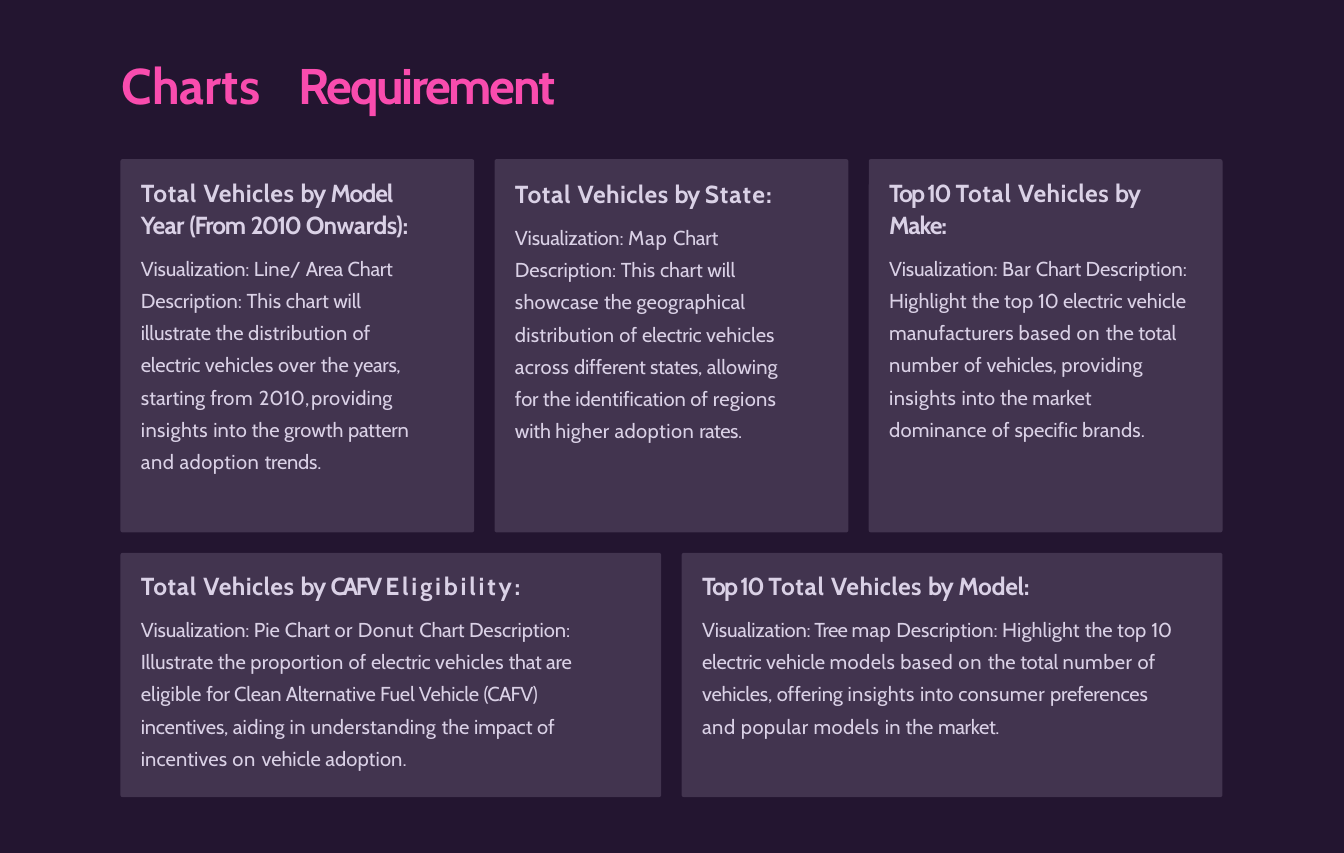
from dataclasses import dataclass

from lxml import etree
from pptx import Presentation
from pptx.dml.color import RGBColor
from pptx.enum import shapes, text
from pptx.oxml import ns
from pptx.util import Inches, Pt

Spans = list[tuple[str, float]]  # wording and its letter spacing in points


@dataclass(frozen=True)
class Theme:
    font: str = "Cabin"
    backdrop: str = "231530"
    panel: str = "42344F"
    accent: str = "F94CAE"
    ink: str = "DAD1E6"
    title_size: float = 33.5
    heading_size: float = 16.5
    body_size: float = 13.5


@dataclass(frozen=True)
class Card:
    heading: Spans
    body: Spans
    text_width: float
    two_line: bool = False


@dataclass(frozen=True)
class Row:
    top: float
    height: float
    text_top: float
    body_gap: float
    body_leading: float
    cards: list[Card]


THEME = Theme()
LEFT, TOTAL_WIDTH, GAP = 1.12, 10.25, 0.19
TEXT_INDENT, CORNER = 0.18, 0.02
TOTAL_VEHICLES: Spans = [("Total ", 0.5), ("Vehicles ", 0.3), ("by ", -0.8)]
TOP_TEN: Spans = [("Top 10 ", -1.2)]

# Wording of the five chart requirements
model_year = Card(
    TOTAL_VEHICLES + [("Model ", -0.7), ("Year ", -0.5), ("(From ", -0.8),
                      ("2010 ", -1.2), ("Onwards):", -0.3)],
    [("Visualization: ", -0.1), ("Line/ ", 0.1), ("Area ", -0.2), ("Chart ", -0.1),
     ("Description: ", 0), ("This ", 0.1), ("chart ", 0), ("will illustrate ", -0.1),
     ("the ", 0), ("distribution ", 0.2), ("of ", 0.1), ("electric ", -0.1),
     ("vehicles over ", 0.1), ("the ", 0), ("years, ", -0.2), ("starting ", 0.1),
     ("f", -0.2), ("r", -0.8), ("om ", 0.5), ("2", 0), ("0", -0.3), ("1", -0.4),
     ("0", -0.6), (", ", -1.8), ("p", 0.2), ("r", -0.3), ("o", 0.5), ("viding ", 0.1),
     ("insights ", 0.3), ("into ", 0.1), ("the growth ", 0), ("pattern ", -0.1),
     ("and ", 0.4), ("adoption ", 0.3), ("trends.", -0.1)],
    2.65, two_line=True)
state = Card(
    TOTAL_VEHICLES + [("State:", 0.8)],
    [("Visualization: ", -0.1), ("Map ", 0.6), ("Chart ", -0.1), ("Description: ", 0),
     ("This ", 0.1), ("chart ", 0), ("will ", -0.1), ("showcase ", 0.2), ("the ", 0),
     ("geographical ", 0.1), ("distribution ", 0.2), ("of ", 0.1), ("electric ", -0.1),
     ("vehicles ", 0.1), ("across ", 0.2), ("different ", -0.1), ("states, ", -0.2),
     ("allowing ", 0.1), ("for ", -0.1), ("the identification ", 0), ("of ", 0.1),
     ("regions ", 0.2), ("with ", -0.1), ("higher ", 0.2), ("adoption ", 0.3),
     ("rates.", -0.3)],
    2.65)
make = Card(
    TOP_TEN + TOTAL_VEHICLES + [("Make:", -0.7)],
    [("Visualization: ", -0.1), ("Bar ", 0.2), ("Chart ", -0.1), ("Description: ", 0),
     ("Highlight ", 0.1), ("the ", 0), ("top ", 0.1), ("10 ", -0.4), ("electric ", -0.1),
     ("vehicle ", 0), ("manufacturers ", 0.1), ("based ", 0.3), ("on ", 0.6), ("the ", 0),
     ("total ", -0.1), ("number ", 0.3), ("of ", 0.1), ("vehicles, ", -0.1),
     ("providing ", 0.2), ("insights ", 0.3), ("into ", 0.1), ("the market ", 0),
     ("dominance ", 0.2), ("of ", 0.1), ("specific ", 0), ("brands.", 0.1)],
    2.84, two_line=True)
eligibility = Card(
    TOTAL_VEHICLES + [("CAFV ", -1.7), ("Eligibility:", 1.9)],
    [("Visualization: ", -0.1), ("Pie ", 0.1), ("Chart ", -0.1), ("or Donut ", 0.3),
     ("Chart ", -0.1), ("Description: Illustrate the ", 0), ("proportion ", 0.2),
     ("of ", 0.1), ("electric ", -0.1), ("vehicles ", 0.1), ("that are ", -0.1),
     ("eligible ", 0.1), ("for Clean Alternative Fuel Vehicle ", -0.1),
     ("(CAFV) ", -0.5), ("incentives, ", -0.1), ("aiding in understanding ", 0.2),
     ("the impact ", 0), ("of incentives ", 0.1), ("on ", 0.6), ("vehicle ", 0),
     ("adoption.", 0.1)],
    4.3)
model = Card(
    TOP_TEN + TOTAL_VEHICLES + [("Model:", -0.2)],
    [("Visualization:", -0.1), (" Tree ", -0.5), ("map ", 0.3), ("Description: ", 0),
     ("Highlight ", 0.1), ("the ", 0), ("top ", 0.1), ("10 ", -0.4), ("electric ", -0.1),
     ("vehicle ", 0), ("models based ", 0.3), ("on ", 0.6), ("the ", 0), ("total ", -0.1),
     ("number ", 0.3), ("of ", 0.1), ("vehicles, ", -0.1), ("offering ", 0),
     ("insights ", 0.3), ("into ", 0.1), ("consumer ", 0.2), ("preferences ", -0.1),
     ("and ", 0.4), ("popular models ", 0.3), ("in ", 0.2), ("the ", 0),
     ("market.", -0.2)],
    4.46)

ROWS = [
    Row(1.48, 3.47, 1.64, 6.3, 1.33, [model_year, state, make]),
    Row(5.14, 2.27, 5.29, 5.4, 1.34, [eligibility, model]),
]


def apply(target, values: dict) -> None:
    for attribute, value in values.items():
        setattr(target, attribute, value)


def set_frame(frame, inset_top: float) -> None:
    apply(frame, {
        "margin_left": Inches(0.01), "margin_right": 0, "margin_bottom": 0,
        "margin_top": Inches(inset_top), "word_wrap": True,
        "vertical_anchor": text.MSO_ANCHOR.TOP,
        "auto_size": text.MSO_AUTO_SIZE.SHAPE_TO_FIT_TEXT,
    })


def write(paragraph, spans: Spans, size: float, color: str, bold: bool,
          before: float, leading: float = 1.0) -> None:
    apply(paragraph, {"alignment": text.PP_ALIGN.LEFT, "space_before": Pt(before),
                      "line_spacing": leading})
    for wording, spacing in spans:
        run = paragraph.add_run()
        run.text = wording
        apply(run.font, {"name": THEME.font, "size": Pt(size), "bold": bold})
        run.font.color.rgb = RGBColor.from_string(color)
        run._r.get_or_add_rPr().set("spc", str(round(spacing * 100)))


def draw_title(slide) -> None:
    title = slide.shapes.title
    apply(title, {"left": Inches(LEFT), "top": Inches(0.49),
                  "width": Inches(4.25), "height": Inches(0.59)})
    set_frame(title.text_frame, 0.02)
    line = title.text_frame.paragraphs[0]
    write(line, [("Charts\t", 0.1), ("Requirement", -1.6)],
          THEME.title_size, THEME.accent, True, 1.2)
    # Tab stop between the two words
    stops = etree.SubElement(line._p.get_or_add_pPr(), ns.qn("a:tabLst"))
    etree.SubElement(stops, ns.qn("a:tab"), pos=str(Inches(1.65)), algn="l")


def draw_card(slide, card: Card, row: Row, left: float, width: float) -> None:
    panel = slide.shapes.add_shape(
        shapes.MSO_SHAPE.ROUNDED_RECTANGLE,
        Inches(left), Inches(row.top), Inches(width), Inches(row.height))
    panel.adjustments[0] = CORNER / min(width, row.height)
    panel.shadow.inherit = False
    panel.fill.solid()
    panel.fill.fore_color.rgb = RGBColor.from_string(THEME.panel)
    panel.line.fill.background()

    inner_height = row.height - 2 * (row.text_top - row.top)
    frame = slide.shapes.add_textbox(
        Inches(left + TEXT_INDENT), Inches(row.text_top),
        Inches(card.text_width), Inches(inner_height)).text_frame
    set_frame(frame, 0 if card.two_line else 0.02)
    before, leading = (0.1, 1.06) if card.two_line else (1.4, 1.0)
    write(frame.paragraphs[0], card.heading, THEME.heading_size, THEME.ink, True,
          before, leading)
    write(frame.add_paragraph(), card.body, THEME.body_size, THEME.ink, False,
          row.body_gap, row.body_leading)


def main() -> None:
    deck = Presentation()
    apply(deck, {"slide_width": Inches(12.5), "slide_height": Inches(7.93)})
    slide = deck.slides.add_slide(deck.slide_layouts.get_by_name("Title Only"))
    slide.background.fill.solid()
    slide.background.fill.fore_color.rgb = RGBColor.from_string(THEME.backdrop)

    draw_title(slide)
    # Each row shares the full width equally among its cards
    for row in ROWS:
        count = len(row.cards)
        width = (TOTAL_WIDTH - GAP * (count - 1)) / count
        for column, card in enumerate(row.cards):
            draw_card(slide, card, row, LEFT + column * (width + GAP), width)
    deck.save("out.pptx")


if __name__ == "__main__":
    main()
